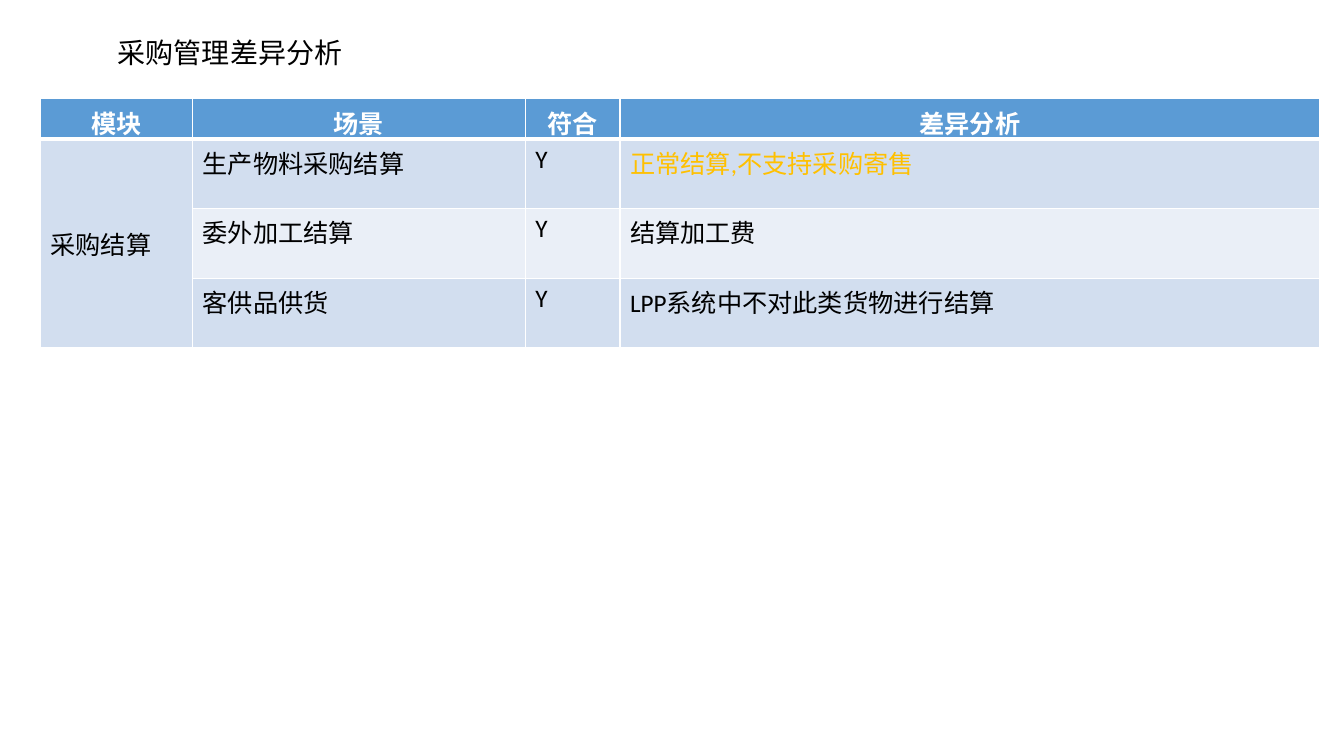
import dataclasses

import lxml.etree
import pptx
import pptx.dml.color
import pptx.enum.text
import pptx.oxml.ns
import pptx.util

Inches = pptx.util.Inches
Align = pptx.enum.text.PP_ALIGN
Anchor = pptx.enum.text.MSO_ANCHOR
qn = pptx.oxml.ns.qn


@dataclasses.dataclass(frozen=True)
class Theme:
    latin: str = "Calibri"
    east_asian: str = "Noto Sans CJK SC"
    title_size: int = 20
    table_size: int = 18
    ink: str = "000000"
    white: str = "FFFFFF"
    header: str = "5B9BD5"
    bands: tuple = ("D2DEEF", "EAEFF7")
    warning: str = "FFC000"
    rule: float = 1
    header_rule: float = 3


def rgb(value):
    return pptx.dml.color.RGBColor.from_string(value)


def write(frame, text, *, size, color, latin, east_asian,
          bold=False, align=Align.LEFT):
    paragraph = frame.paragraphs[0]
    paragraph.alignment = align
    run = paragraph.add_run()
    run.text = text
    run.font.size = pptx.util.Pt(size)
    run.font.bold = bold
    run.font.color.rgb = rgb(color)
    run.font.name = latin
    lxml.etree.SubElement(run.font._element, qn("a:ea"), typeface=east_asian)


class SlideBuilder:
    def __init__(self, slide, theme):
        self.slide = slide
        self.theme = theme

    def title(self, text, left, top, width, height):
        box = self.slide.shapes.add_textbox(
            Inches(left), Inches(top), Inches(width), Inches(height))
        box.text_frame.word_wrap = True
        box.text_frame.auto_size = pptx.enum.text.MSO_AUTO_SIZE.SHAPE_TO_FIT_TEXT
        write(box.text_frame, text, size=self.theme.title_size,
              color=self.theme.ink, latin=self.theme.east_asian,
              east_asian=self.theme.east_asian)

    def borders(self, cell, widths):
        properties = cell._tc.get_or_add_tcPr()
        for index, (side, width) in enumerate(widths.items()):
            line = lxml.etree.Element(
                qn(f"a:ln{side}"), w=str(pptx.util.Pt(width)))
            fill = lxml.etree.SubElement(line, qn("a:solidFill"))
            lxml.etree.SubElement(fill, qn("a:srgbClr"), val=self.theme.white)
            properties.insert(index, line)

    def cell(self, cell, text, row, color):
        theme = self.theme
        is_header = row == 0
        cell.fill.solid()
        cell.fill.fore_color.rgb = rgb(
            theme.header if is_header else theme.bands[(row - 1) % 2])
        widths = dict.fromkeys("LRTB", theme.rule)
        if row < 2:
            widths["B" if is_header else "T"] = theme.header_rule
        self.borders(cell, widths)
        if text:
            write(cell.text_frame, text, size=theme.table_size,
                  color=theme.white if is_header else color,
                  latin=theme.latin, east_asian=theme.east_asian,
                  bold=is_header,
                  align=Align.CENTER if is_header else Align.LEFT)

    def table(self, rows, left, top, column_widths, row_heights, colors):
        table = self.slide.shapes.add_table(
            len(rows), len(column_widths), Inches(left), Inches(top),
            Inches(sum(column_widths)), Inches(sum(row_heights))).table
        for column, width in zip(table.columns, column_widths):
            column.width = Inches(width)
        for table_row, height in zip(table.rows, row_heights):
            table_row.height = Inches(height)
        for r, texts in enumerate(rows):
            for c, text in enumerate(texts):
                self.cell(table.cell(r, c), text, r,
                          colors.get((r, c), self.theme.ink))
        return table


def main():
    presentation = pptx.Presentation()
    presentation.slide_width = Inches(13.33)
    presentation.slide_height = Inches(7.5)
    theme = Theme()
    builder = SlideBuilder(
        presentation.slides.add_slide(presentation.slide_layouts[6]), theme)

    # Heading
    builder.title("采购管理差异分析", 1.07, 0.3, 3.81, 0.44)

    # Gap analysis by scenario
    gap_rows = [
        ("模块", "场景", "符合", "差异分析"),
        ("采购结算", "生产物料采购结算", "Y", "正常结算,不支持采购寄售"),
        ("", "委外加工结算", "Y", "结算加工费"),
        ("", "客供品供货", "Y", "LPP系统中不对此类货物进行结算"),
    ]
    gap_table = builder.table(
        gap_rows, 0.4, 0.98, (1.51, 3.3, 0.94, 6.94),
        (0.4, 0.69, 0.69, 0.69), colors={(1, 3): theme.warning})

    # The module spans all of its scenarios
    module = gap_table.cell(1, 0)
    module.merge(gap_table.cell(3, 0))
    module.vertical_anchor = Anchor.MIDDLE

    presentation.save("out.pptx")


if __name__ == "__main__":
    main()
